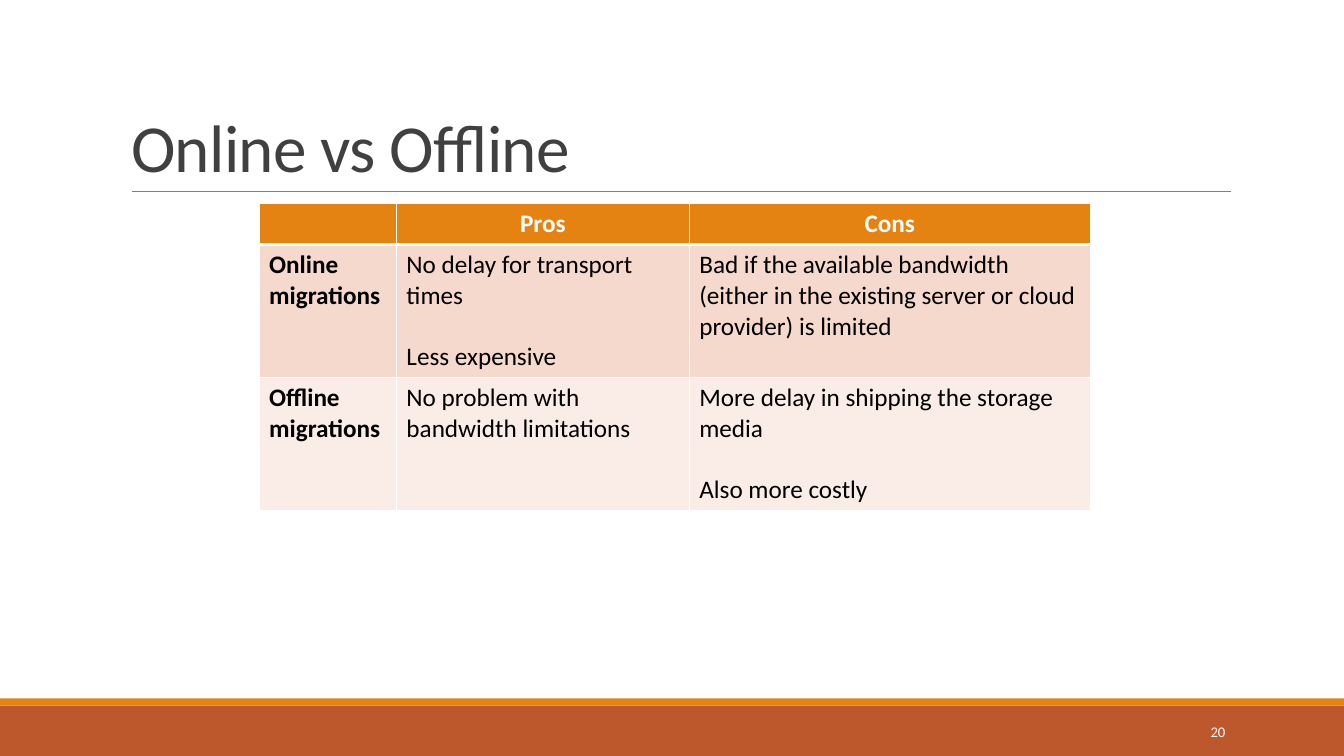
"""Build the slide comparing online and offline migrations."""
from lxml import etree
from pptx import Presentation
from pptx.dml.color import RGBColor
from pptx.enum import shapes, text
from pptx.oxml import ns
from pptx.util import Cm, Pt

COLORS = {
    "white": "FFFFFF", "black": "000000", "title": "404040", "rule": "808080",
    "orange": "E48312", "rust": "BD582C", "online": "F5D9CC", "offline": "FAEDE7",
}


def color(name):
    return RGBColor.from_string(COLORS[name])


def style(paragraph, size, color_name, bold=False):
    paragraph.font.name = "Calibri"
    paragraph.font.size = Pt(size)
    paragraph.font.bold = bold
    paragraph.font.color.rgb = color(color_name)


presentation = Presentation()
presentation.slide_width = Cm(33.87)
presentation.slide_height = Cm(19.05)
slide = presentation.slides.add_slide(presentation.slide_layouts[5])

for top, height, name in [(17.78, 1.27, "rust"), (17.6, 0.18, "orange")]:
    band = slide.shapes.add_shape(
        shapes.MSO_SHAPE.RECTANGLE, 0, Cm(top), presentation.slide_width, Cm(height))
    band.shadow.inherit = False
    band.fill.solid()
    band.fill.fore_color.rgb = color(name)
    band.line.fill.background()

rule = slide.shapes.add_connector(
    shapes.MSO_CONNECTOR.STRAIGHT, Cm(3.32), Cm(4.83), Cm(31.01), Cm(4.83))
rule.line.color.rgb = color("rule")
rule.line.width = Pt(0.5)
etree.SubElement(rule._element.spPr, ns.qn("a:effectLst"))

title = slide.shapes.title
title.left, title.top, title.width, title.height = Cm(3.05), Cm(0.79), Cm(27.94), Cm(4.03)
title.text_frame.text = "Online vs Offline"
title.text_frame.auto_size = text.MSO_AUTO_SIZE.NONE
title.text_frame.vertical_anchor = text.MSO_ANCHOR.BOTTOM
heading = title.text_frame.paragraphs[0]
heading.alignment = text.PP_ALIGN.LEFT
heading.line_spacing = 0.85
style(heading, 48, "title")
heading.runs[0].font._element.set("spc", "-50")

rows = [
    ("orange", 1.03, ["", "Pros", "Cons"]),
    ("online", 3.35, [
        "Online migrations",
        "No delay for transport times\nLess expensive",
        "Bad if the available bandwidth (either in the existing server or cloud "
        "provider) is limited"]),
    ("offline", 3.35, [
        "Offline migrations",
        "No problem with bandwidth limitations",
        "More delay in shipping the storage media\nAlso more costly"]),
]
column_widths = [3.46, 7.38, 10.11]
table = slide.shapes.add_table(
    len(rows), len(column_widths), Cm(6.53), Cm(5.13),
    Cm(sum(column_widths)), Cm(sum(row[1] for row in rows))).table
for column, width in zip(table.columns, column_widths):
    column.width = Cm(width)

for row_index, (fill, height, contents) in enumerate(rows):
    table.rows[row_index].height = Cm(height)
    is_header = row_index == 0
    for column_index, content in enumerate(contents):
        cell = table.cell(row_index, column_index)
        cell.text = content
        for index, paragraph in enumerate(cell.text_frame.paragraphs):
            style(paragraph, 18, "white" if is_header else "black",
                  bold=is_header or column_index == 0)
            if is_header:
                paragraph.alignment = text.PP_ALIGN.CENTER
            if index:
                paragraph.space_before = Pt(22)
        properties = cell._tc.get_or_add_tcPr()
        for side in "LRTB":
            under_header = (row_index, side) in [(0, "B"), (1, "T")]
            border = etree.SubElement(
                properties, ns.qn(f"a:ln{side}"), w=str(Pt(3 if under_header else 1)))
            border_fill = etree.SubElement(border, ns.qn("a:solidFill"))
            etree.SubElement(border_fill, ns.qn("a:srgbClr"), val=COLORS["white"])
        cell.fill.solid()
        cell.fill.fore_color.rgb = color(fill)

number = slide.shapes.add_textbox(Cm(27.5), Cm(17.93), Cm(3.63), Cm(1.02))
number.text_frame.word_wrap = True
number.text_frame.vertical_anchor = text.MSO_ANCHOR.MIDDLE
number.text_frame.text = "20"
number_paragraph = number.text_frame.paragraphs[0]
number_paragraph.alignment = text.PP_ALIGN.RIGHT
style(number_paragraph, 10.5, "white")

presentation.save("out.pptx")
